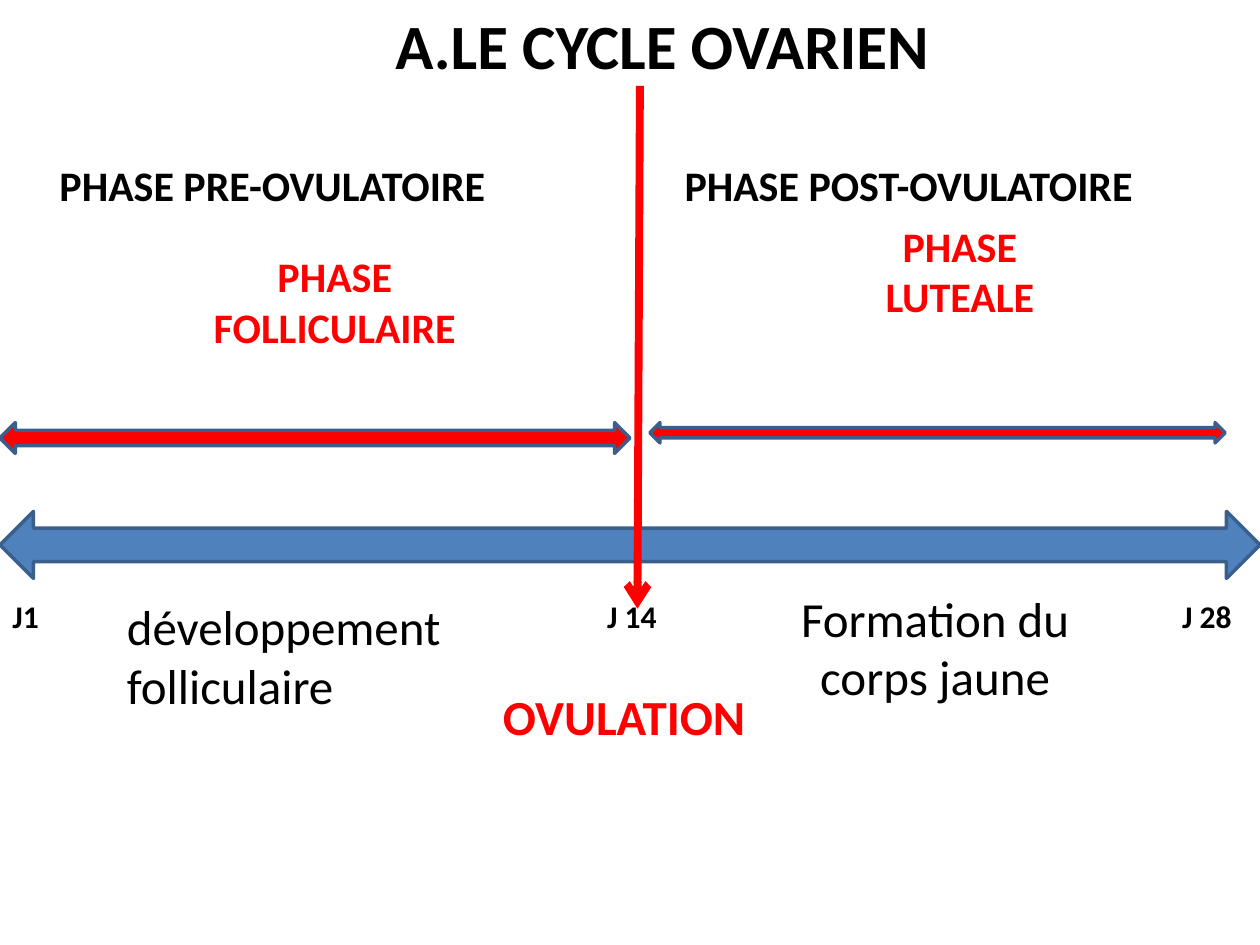
from pptx import Presentation
from pptx.dml.color import RGBColor
from pptx.enum import shapes, text
from pptx.oxml.ns import qn
from pptx.util import Cm, Pt
from lxml import etree

INK = {"black": "000000", "red": "FF0000", "blue": "4F81BD", "edge": "3A5F8C"}
LEFT, MID = text.PP_ALIGN.LEFT, text.PP_ALIGN.CENTER

TITLE = ("A.LE CYCLE OVARIEN", (7.35, 0, 12, 1.8), MID, 36, "black", True)
LABELS = [
    ("PHASE PRE-OVULATOIRE", (0.95, 3.1, 10, 1.28), LEFT, 24, "black", True),
    ("PHASE POST-OVULATOIRE", (13.55, 3.1, 10.5, 1.28), LEFT, 24, "black", True),
    ("PHASE\nFOLLICULAIRE", (3.35, 4.93, 6.8, 2.3), MID, 24, "red", True),
    ("PHASE\nLUTEALE", (16.95, 4.32, 4.8, 2.3), MID, 24, "red", True),
    ("J1", (0, 11.91, 1.5, 1.02), LEFT, 18, "black", True),
    ("J 14", (11.74, 11.91, 2, 1.02), MID, 18, "black", True),
    ("J 28", (23.33, 11.91, 2, 1.02), MID, 18, "black", True),
    ("développement\nfolliculaire", (2.31, 11.91, 7, 2.65), LEFT, 28, "black", False),
    ("Formation du\ncorps jaune", (15.85, 11.73, 6, 2.65), MID, 28, "black", False),
    ("OVULATION", (9.83, 13.72, 5.5, 1.45), MID, 28, "red", True),
]
SPANS = [
    ((0, 10.31, 25.4, 1.35), "blue"),
    ((0, 8.52, 12.7, 0.62), "red"),
    ((13.1, 8.52, 11.6, 0.41), "red"),
]
DAY = (12.9, 1.73, 12.85, 12.27)


def tint(name):
    return RGBColor.from_string(INK[name])


def place(box, spot):
    for key, val in zip(("left", "top", "width", "height"), spot):
        setattr(box, key, Cm(val))


def write(box, words, spot, align, size, ink, bold):
    place(box, spot)
    frame = box.text_frame
    frame.text = words
    look = {"word_wrap": True, "auto_size": text.MSO_AUTO_SIZE.NONE,
            "vertical_anchor": text.MSO_ANCHOR.TOP}
    for key, val in look.items():
        setattr(frame, key, val)
    for para in frame.paragraphs:
        para.alignment = align
        for run in para.runs:
            style = {"name": "Calibri", "size": Pt(size), "bold": bold}
            for key, val in style.items():
                setattr(run.font, key, val)
            run.font.color.rgb = tint(ink)


def main():
    deck = Presentation()
    deck.slide_width, deck.slide_height = Cm(25.4), Cm(19.05)
    slide = deck.slides.add_slide(deck.slide_layouts[5])
    write(slide.shapes.title, *TITLE)

    for spot, ink in SPANS:
        span = slide.shapes.add_shape(
            shapes.MSO_SHAPE.LEFT_RIGHT_ARROW, *map(Cm, spot))
        span.shadow.inherit = False
        span.fill.solid()
        span.fill.fore_color.rgb = tint(ink)
        span.line.color.rgb = tint("edge")
        span.line.width = Pt(2)

    day = slide.shapes.add_connector(
        shapes.MSO_CONNECTOR.STRAIGHT, *map(Cm, DAY))
    day.line.color.rgb = tint("red")
    day.line.width = Pt(4.5)
    etree.SubElement(day.line._get_or_add_ln(), qn("a:tailEnd"), type="arrow")
    etree.SubElement(day._element.spPr, qn("a:effectLst"))

    for label in LABELS:
        box = slide.shapes.add_textbox(0, 0, 0, 0)
        write(box, *label)

    deck.save("out.pptx")


if __name__ == "__main__":
    main()
